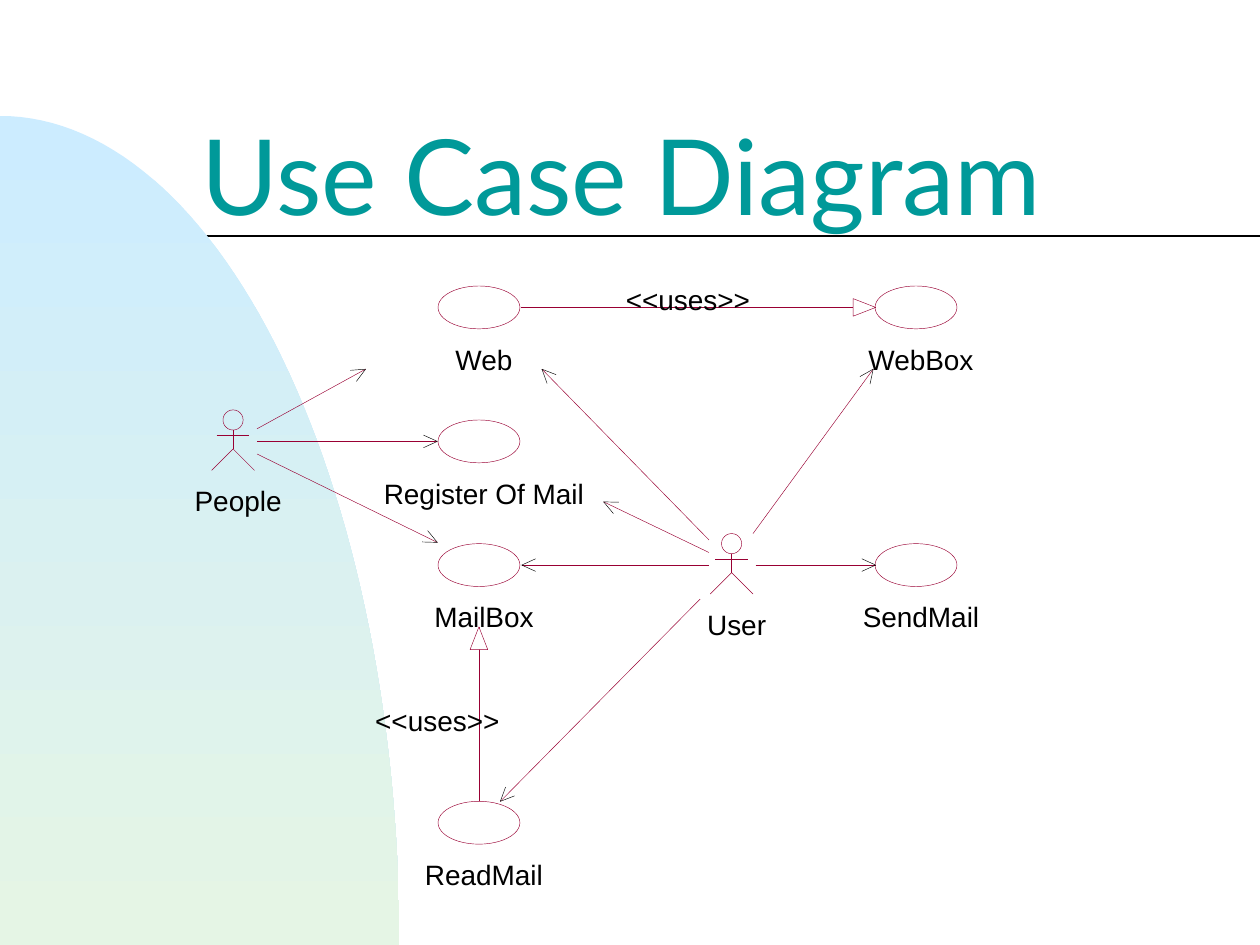
import math
from collections import namedtuple
from dataclasses import dataclass

from lxml import etree
from pptx import Presentation
from pptx.dml.color import RGBColor
from pptx.enum.shapes import MSO_CONNECTOR, MSO_SHAPE
from pptx.enum.text import MSO_ANCHOR, MSO_AUTO_SIZE, PP_ALIGN
from pptx.oxml.ns import qn
from pptx.util import Inches, Pt

STRAIGHT = MSO_CONNECTOR.STRAIGHT
ELLIPSE = MSO_SHAPE.OVAL
CENTER, LEFT = PP_ALIGN.CENTER, PP_ALIGN.LEFT
BOTTOM, TOP = MSO_ANCHOR.BOTTOM, MSO_ANCHOR.TOP
FIXED_SIZE = MSO_AUTO_SIZE.NONE

WIDTH, HEIGHT = 10, 7.5
Box = namedtuple("Box", "left top width height")
Link = namedtuple("Link", "source target start end")


@dataclass(frozen=True)
class Theme:
    title_font: str = "Lato"
    label_font: str = "Arial"
    title_size: float = 60
    label_size: float = 16
    rule_width: float = 1
    stroke_width: float = 0.25
    title: str = "009999"
    ink: str = "000000"
    stroke: str = "990033"
    paper: str = "FFFFFF"
    sky: str = "CCECFF"
    meadow: str = "E5F5E5"


THEME = Theme()

# Centres as shares of the diagram box
CASES = {
    "Web": (0.36, 0), "WebBox": (1, 0),
    "Register Of Mail": (0.36, 0.26),
    "MailBox": (0.36, 0.5), "SendMail": (1, 0.5),
    "ReadMail": (0.36, 1),
}
ACTORS = {"People": (0, 0.26), "User": (0.73, 0.5)}

# Ends are offsets in inches from the centres of the two nodes
ASSOCIATIONS = [
    Link("People", "Web", (0.19, -0.1), (-0.9, 0.49)),
    Link("People", "Register Of Mail", (0.19, 0), (-0.33, 0)),
    Link("People", "MailBox", (0.19, 0.1), (-0.33, -0.18)),
    Link("User", "SendMail", (0.19, 0), (-0.32, 0)),
    Link("User", "ReadMail", (-0.25, 0.27), (0.17, -0.17)),
    Link("User", "Register Of Mail", (-0.18, -0.1), (0.99, 0.48)),
    Link("User", "WebBox", (0.17, -0.25), (-0.34, 0.49)),
    Link("User", "MailBox", (-0.18, 0), (0.34, 0)),
    Link("User", "Web", (-0.18, -0.2), (0.5, 0.49)),
]
# Each dependency has its caption's offset from the middle of its line
DEPENDENCIES = [
    (Link("Web", "WebBox", (0.33, 0), (-0.32, 0)), (-0.08, -0.06)),
    (Link("ReadMail", "MailBox", (0, -0.17), (0, 0.49)), (-0.33, 0.05)),
]


def shift(point, offset):
    return point[0] + offset[0], point[1] + offset[1]


def paint(shape, fill=None, stroke=None):
    shape.shadow.inherit = False
    if fill:
        shape.fill.solid()
        shape.fill.fore_color.rgb = RGBColor.from_string(fill)
    else:
        shape.fill.background()
    if stroke:
        shape.line.color.rgb = RGBColor.from_string(stroke)
        shape.line.width = Pt(THEME.stroke_width)
    else:
        shape.line.fill.background()


def add_line(slide, start, end, color=THEME.stroke, width=THEME.stroke_width):
    line = slide.shapes.add_connector(STRAIGHT, *map(Inches, (*start, *end)))
    line.line.color.rgb = RGBColor.from_string(color)
    line.line.width = Pt(width)
    etree.SubElement(line._element.spPr, qn("a:effectLst"))


def add_outline(slide, points, closed):
    corners = [(Inches(x), Inches(y)) for x, y in points]
    builder = slide.shapes.build_freeform(*corners[0])
    builder.add_line_segments(corners[1:], close=closed)
    return builder.convert_to_shape()


def add_ellipse(slide, center, width, height, fill=None):
    x, y = center
    oval = slide.shapes.add_shape(ELLIPSE, Inches(x - width / 2), Inches(y - height / 2),
                                  Inches(width), Inches(height))
    paint(oval, fill, THEME.stroke)


def format_text(frame, text, font, size, color, align, anchor):
    frame.text = text
    frame.auto_size = FIXED_SIZE
    frame.word_wrap = True
    frame.vertical_anchor = anchor
    paragraph = frame.paragraphs[0]
    paragraph.alignment = align
    run_font = paragraph.runs[0].font
    run_font.name, run_font.size = font, Pt(size)
    run_font.color.rgb = RGBColor.from_string(color)


def add_label(slide, text, center):
    width, height = 1.8, 0.27
    x, y = center
    label = slide.shapes.add_textbox(Inches(x - width / 2), Inches(y - height / 2),
                                     Inches(width), Inches(height))
    frame = label.text_frame
    frame.margin_left = frame.margin_right = frame.margin_top = frame.margin_bottom = 0
    format_text(frame, text, THEME.label_font, THEME.label_size, THEME.ink, CENTER, TOP)


def add_backdrop(slide, box):
    """Draw the title rule and a quarter ellipse that fills the box."""
    rule_y = HEIGHT * 0.25
    add_line(slide, (0, rule_y), (WIDTH, rule_y), THEME.ink, THEME.rule_width)
    bottom = box.top + box.height
    steps = 60
    arc = [(box.left + box.width * math.sin(math.pi / 2 * i / steps),
            bottom - box.height * math.cos(math.pi / 2 * i / steps))
           for i in range(steps + 1)]
    hill = add_outline(slide, arc + [(box.left, bottom)], True)
    paint(hill)
    hill.fill.gradient()
    hill.fill.gradient_angle = 270
    stops = zip(hill.fill.gradient_stops, (THEME.sky, THEME.meadow), (0, 1))
    for stop, color, position in stops:
        stop.color.rgb = RGBColor.from_string(color)
        stop.position = position


def add_title(slide, text, box):
    title = slide.shapes.title
    title.left, title.top, title.width, title.height = map(Inches, box)
    format_text(title.text_frame, text, THEME.title_font, THEME.title_size,
                THEME.title, LEFT, BOTTOM)
    title.text_frame.paragraphs[0].line_spacing = 0.8
    slide.shapes._spTree.append(title._element)  # in front of the backdrop


def add_case(slide, name, center):
    add_ellipse(slide, center, 0.65, 0.34, THEME.paper)
    add_label(slide, name, shift(center, (0.04, 0.41)))


def add_actor(slide, name, center):
    hip = shift(center, (0, 0.06))
    add_ellipse(slide, shift(center, (0, -0.17)), 0.16, 0.16)
    add_line(slide, shift(center, (0, -0.09)), hip)
    add_line(slide, shift(center, (-0.13, -0.05)), shift(center, (0.13, -0.05)))
    legs = add_outline(slide, [shift(hip, (-0.17, 0.17)), hip, shift(hip, (0.17, 0.17))], False)
    paint(legs, stroke=THEME.stroke)
    add_label(slide, name, shift(center, (0.04, 0.47)))


def head_corners(start, tip, length, half_width):
    """Return the two back corners of an arrowhead that points at the tip."""
    angle = math.atan2(tip[1] - start[1], tip[0] - start[0])
    along, across = math.cos(angle), math.sin(angle)
    return [shift(tip, (-length * along - side * across, -length * across + side * along))
            for side in (half_width, -half_width)]


def add_use_cases(slide, box):
    centers = {name: (box.left + x * box.width, box.top + y * box.height)
               for name, (x, y) in {**CASES, **ACTORS}.items()}
    for name in CASES:
        add_case(slide, name, centers[name])
    for name in ACTORS:
        add_actor(slide, name, centers[name])

    def connect(link):
        start = shift(centers[link.source], link.start)
        end = shift(centers[link.target], link.end)
        add_line(slide, start, end)
        return start, end

    for link in ASSOCIATIONS:
        start, tip = connect(link)
        for corner in head_corners(start, tip, 0.11, 0.05):
            add_line(slide, tip, corner, THEME.ink)
    for link, caption_offset in DEPENDENCIES:
        start, tip = connect(link)
        head = add_outline(slide, [tip, *head_corners(start, tip, 0.18, 0.07)], True)
        paint(head, THEME.paper, THEME.stroke)
        middle = (start[0] + tip[0]) / 2, (start[1] + tip[1]) / 2
        add_label(slide, "<<uses>>", shift(middle, caption_offset))


def main():
    deck = Presentation()
    deck.slide_width, deck.slide_height = Inches(WIDTH), Inches(HEIGHT)
    slide = deck.slides.add_slide(deck.slide_layouts[5])
    add_backdrop(slide, Box(0, 0.92, 3.17, HEIGHT - 0.92))
    add_title(slide, "Use Case Diagram", Box(1.5, 0.92, 8, 1))
    add_use_cases(slide, Box(1.85, 2.44, 5.42, 4.09))
    deck.save("out.pptx")


if __name__ == "__main__":
    main()
